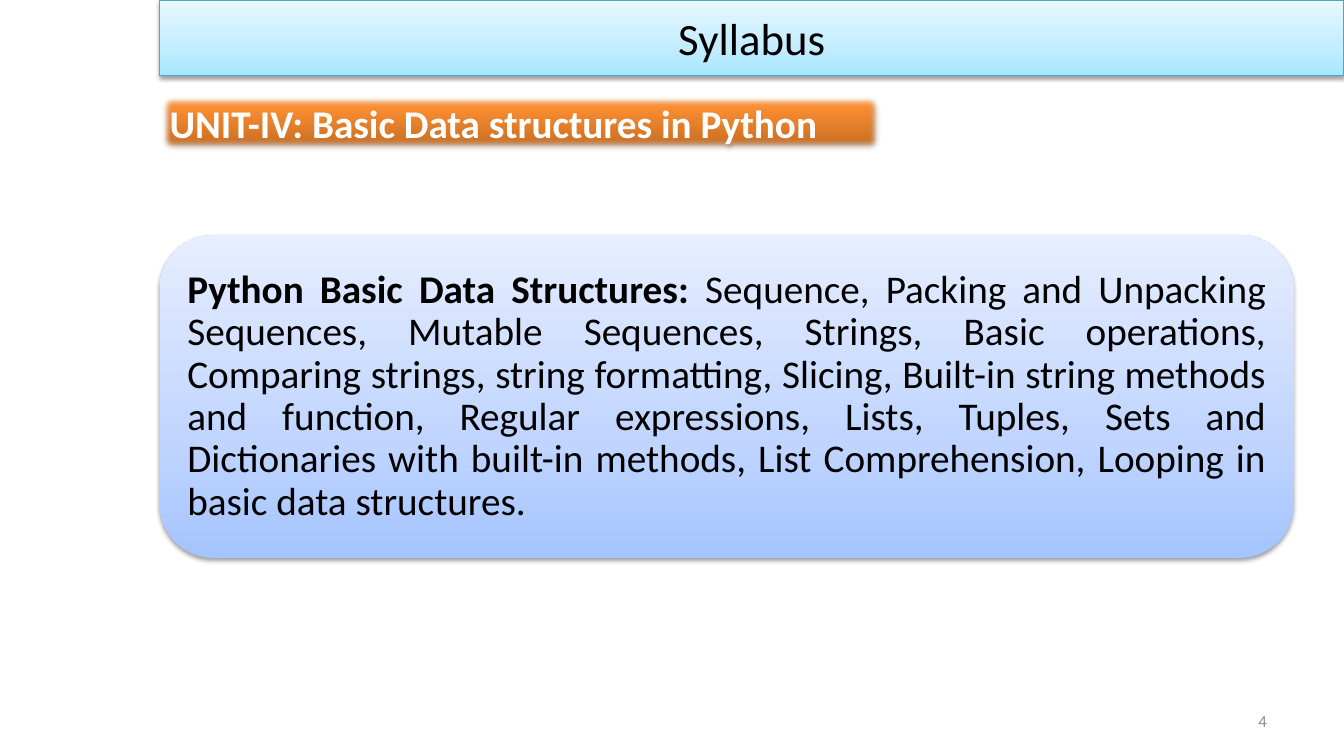
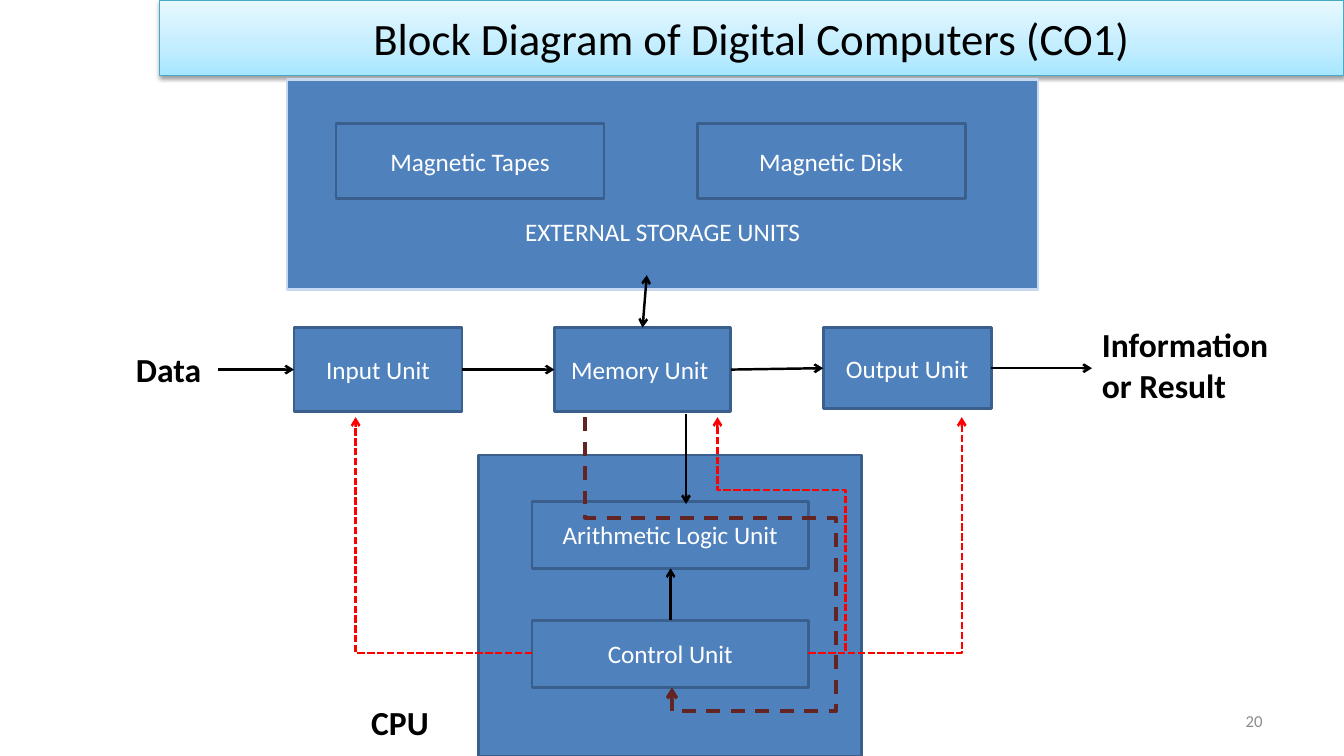
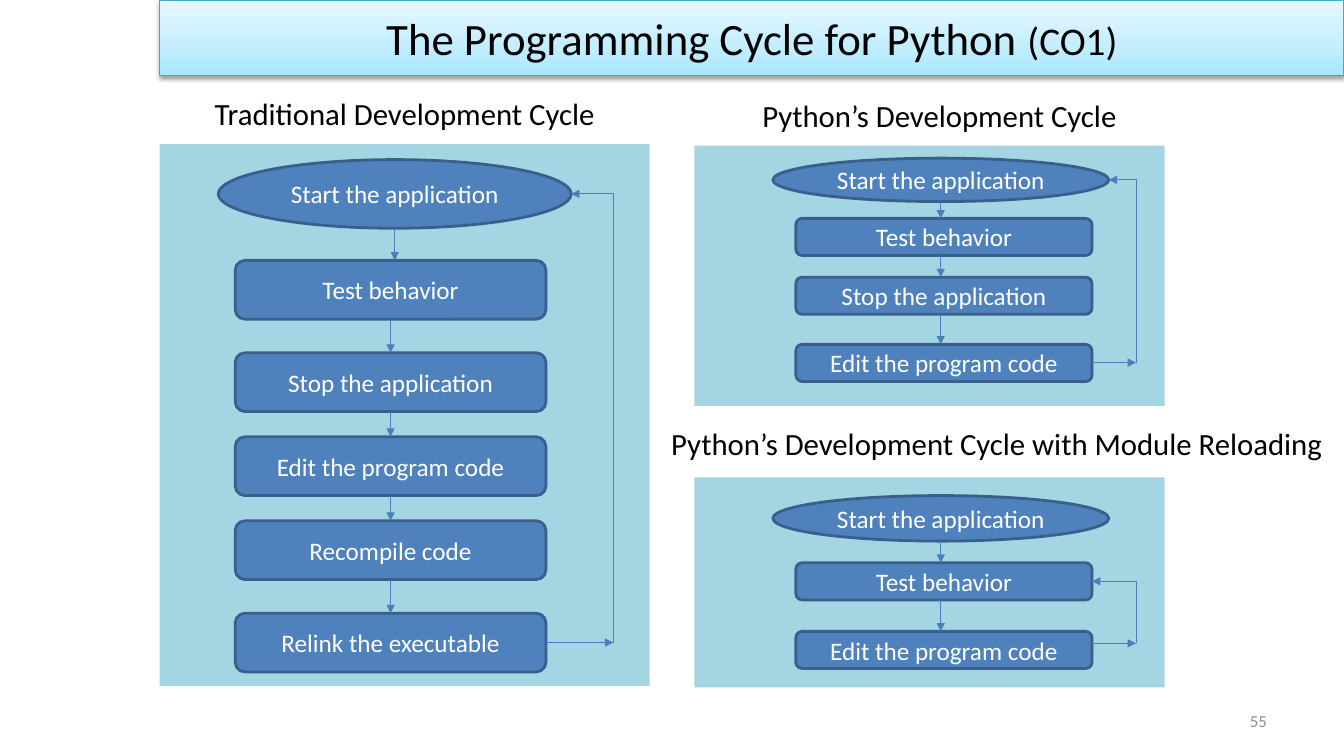
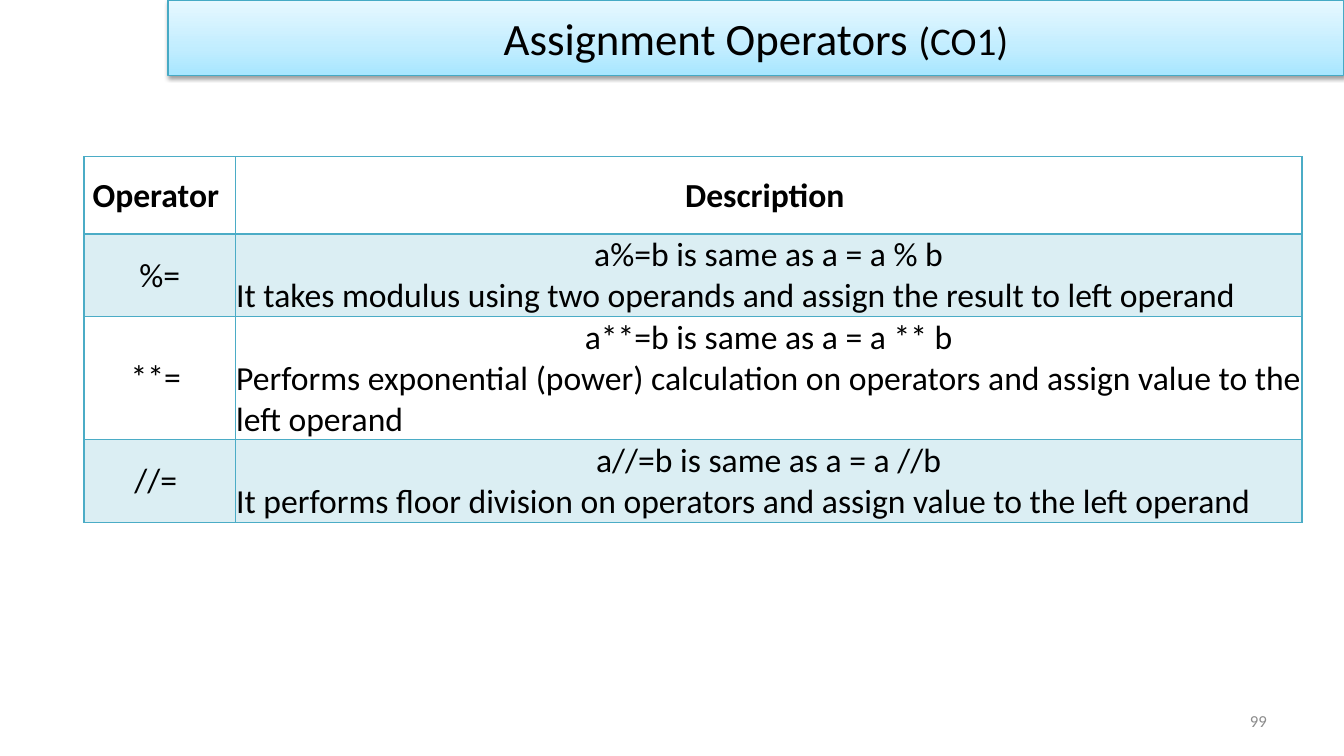
"""Build four slides of a Python programming course."""
from copy import deepcopy
from dataclasses import dataclass
from itertools import pairwise
from typing import Any, NamedTuple

from lxml.etree import SubElement as Sub
from pptx import Presentation
from pptx.dml.color import RGBColor
from pptx.enum.dml import MSO_LINE as Dash
from pptx.enum.shapes import MSO_CONNECTOR as Link, MSO_SHAPE as Kind
from pptx.enum.text import MSO_ANCHOR as Anchor, PP_ALIGN as Align
from pptx.oxml.ns import qn
from pptx.util import Pt

FONT = "Calibri"
BLACK, WHITE, GREY = "000000", "FFFFFF", "8C8C8C"
BLUE, NAVY, PALE, SKY = "4F81BD", "3A5F8C", "C6D9F1", "4B7EBC"
TEAL, RED, BROWN = "4BACC6", "FF0000", "632523"
AQUA = ((0, "A7E6FF"), (35, "C1EDFF"), (100, "E7F8FF"))
ORANGE = ((0, "C2691F"), (80, "FF9034"), (100, "FF9136"))
LILAC = ((0, "A4C4FF"), (35, "BFD4FF"), (100, "E6EEFF"))


class Run(NamedTuple):
    text: str
    size: float = 18
    color: str = BLACK
    bold: bool = False


class Box(NamedTuple):
    left: float
    top: float
    width: float
    height: float

    @property
    def right(self) -> float:
        return self.left + self.width

    @property
    def base(self) -> float:
        return self.top + self.height

    @property
    def mid(self) -> float:
        return self.top + self.height / 2


class Spot(NamedTuple):
    x: float
    y: float


class Pen(NamedTuple):
    color: str
    width: float
    tail: str = "arrow"
    head: str = ""
    dash: Any = None


@dataclass
class Block:
    text: str
    box: Box


@dataclass
class Wire:
    spots: list[Spot]
    pen: Pen


@dataclass
class Cycle:
    title: str
    label: Box
    panel: Box
    oval: Box
    step: Box
    tops: list[float]
    names: list[str]
    axis: float
    lane: float
    leave: float
    back: int


INK = Pen(BLACK, 1.75)
BOTH = Pen(BLACK, 1.75, head="arrow")
SIGNAL = Pen(RED, 1.75, dash=Dash.SQUARE_DOT)
DATA = Pen(BROWN, 2.5, dash=Dash.DASH)
FLOW = Pen(SKY, 0.75, tail="triangle")

START, TEST, STOP, EDIT = (
    "Start the application", "Test behavior", "Stop the application", "Edit the program code")

CYCLES = [
    Cycle("Traditional Development Cycle", Box(114, 64, 350, 34),
          Box(114, 103, 350, 387), Box(156, 114, 252, 49),
          Box(168, 0, 222, 42), [186, 252, 312, 372, 438],
          [TEST, STOP, EDIT, "Recompile code", "Relink the executable"],
          279, 438, 459, 0),
    Cycle("Python’s Development Cycle", Box(496, 65.5, 350, 34),
          Box(496, 104, 336, 186), Box(552, 113, 240, 31),
          Box(568.5, 0, 211.5, 26.5), [156, 198, 246],
          [TEST, STOP, EDIT], 672, 811.5, 259, 0),
    Cycle("Python’s Development Cycle with Module Reloading",
          Box(464, 300, 496, 34),
          Box(496, 341, 336, 150), Box(552, 354, 240, 32.5),
          Box(568.5, 0, 211.5, 26.5), [402, 451],
          [TEST, EDIT], 672, 811.5, 459.5, 1),
]

UNITS = [
    Block("Magnetic Tapes", Box(240, 88, 191.5, 54)),
    Block("Magnetic Disk", Box(498, 88, 191.5, 54)),
    Block("", Box(342, 325, 273.5, 215)),
    Block("Arithmetic Logic Unit", Box(380, 358, 197.5, 48)),
    Block("Control Unit", Box(380, 443, 197.5, 48)),
    Block("Input Unit", Box(210, 234, 120, 60)),
    Block("Memory Unit ", Box(396, 234, 126, 60)),
    Block("Output Unit", Box(588, 234, 120, 58)),
]

WIRES = [
    Wire([Spot(479, 443), Spot(479, 406)], INK),
    Wire([Spot(156, 264), Spot(210, 264)], INK),
    Wire([Spot(330, 264), Spot(396, 264)], INK),
    Wire([Spot(522, 264), Spot(588, 263)], INK),
    Wire([Spot(708, 263), Spot(780, 263)], INK),
    Wire([Spot(459, 234), Spot(462, 196.5)], BOTH),
    Wire([Spot(490, 296), Spot(490, 360)], INK),
    Wire([Spot(380, 466.5), Spot(254, 466.5), Spot(254, 298)], SIGNAL),
    Wire([Spot(577.5, 466.5), Spot(687, 466.5), Spot(687, 298)], SIGNAL),
    Wire([Spot(577.5, 466.5), Spot(604, 466.5), Spot(604, 350),
          Spot(512.5, 350), Spot(512.5, 298)], SIGNAL),
    Wire([Spot(418, 298), Spot(418, 370), Spot(597, 370),
          Spot(597, 508), Spot(480, 508), Spot(480, 491)], DATA),
]

TAGS = [
    Block("Data", Box(90, 246, 76, 36)),
    Block("Information or Result", Box(780, 228, 150, 66)),
    Block("CPU", Box(258, 498, 76, 36)),
]

ROWS = [
    ("Operator ", ["Description "]),
    ("%=", ["a%=b is same as a = a % b",
            "It takes modulus using two operands and assign the result to left operand"]),
    ("**= ", ["a**=b is same as a = a ** b",
              "Performs exponential (power) calculation on operators "
              "and assign value to the left operand"]),
    ("//= ", ["a//=b is same as a = a //b",
              "It performs floor division on operators and assign value to the left operand"]),
]


def hue(code: str) -> RGBColor:
    return RGBColor.from_string(code)


def place(box: Box) -> list[int]:
    return [Pt(side) for side in box]


def write(para: Any, runs: list[Run], align: Any = Align.LEFT) -> None:
    para.alignment = align
    for item in runs:
        run = para.add_run()
        run.text = item.text
        font = run.font
        font.name, font.size, font.bold = FONT, Pt(item.size), item.bold
        font.color.rgb = hue(item.color)


def tint(fill: Any, root: Any, code: str, alpha: int) -> None:
    fill.solid()
    fill.fore_color.rgb = hue(code)
    color = root.find(f"{qn('a:solidFill')}/{qn('a:srgbClr')}")
    Sub(color, qn("a:alpha"), val=str(alpha * 1000))


def blend(shape: Any, stops: tuple) -> None:
    fill = shape.fill
    fill.gradient()
    fill.gradient_angle = 90
    group = next(shape._element.spPr.iter(qn("a:gsLst")))
    group.append(deepcopy(group[0]))
    for stop, (pos, code) in zip(fill.gradient_stops, stops):
        stop.position = pos / 100
        stop.color.rgb = hue(code)


def shade(shape: Any, alpha: int, soft: float = 0) -> None:
    group = shape._element.spPr.find(qn("a:effectLst"))
    cast = Sub(group, qn("a:outerShdw"), blurRad=str(Pt(3.1)), dist=str(Pt(1.6)),
               dir="5400000", rotWithShape="0")
    color = Sub(cast, qn("a:srgbClr"), val=BLACK)
    Sub(color, qn("a:alpha"), val=str(alpha * 1000))
    if soft:
        Sub(group, qn("a:softEdge"), rad=str(Pt(soft)))


def form(slide: Any, kind: Any, box: Box, runs: list[Run],
         align: Any = Align.CENTER) -> Any:
    shape = slide.shapes.add_shape(kind, *place(box))
    shape.shadow.inherit = False
    shape.line.fill.background()
    frame = shape.text_frame
    frame.word_wrap = True
    frame.vertical_anchor = Anchor.MIDDLE
    if runs:
        write(frame.paragraphs[0], runs, align)
    return shape


def edge(shape: Any, code: str, width: float) -> None:
    shape.line.color.rgb = hue(code)
    shape.line.width = Pt(width)


def node(slide: Any, kind: Any, block: Block, rim: str = NAVY) -> Any:
    runs = [Run(block.text, color=WHITE)] if block.text else []
    shape = form(slide, kind, block.box, runs)
    shape.fill.solid()
    shape.fill.fore_color.rgb = hue(BLUE)
    edge(shape, rim, 2)
    return shape


def note(slide: Any, box: Box, run: Run, align: Any = Align.LEFT,
         anchor: Any = Anchor.TOP) -> None:
    frame = slide.shapes.add_textbox(*place(box)).text_frame
    frame.word_wrap = True
    frame.vertical_anchor = anchor
    write(frame.paragraphs[0], [run], align)


def draw(slide: Any, wire: Wire) -> None:
    spots = [(Pt(spot.x), Pt(spot.y)) for spot in wire.spots]
    if len(spots) == 2:
        line = slide.shapes.add_connector(Link.STRAIGHT, *spots[0], *spots[1])
    else:
        pencil = slide.shapes.build_freeform(*spots[0])
        pencil.add_line_segments(spots[1:], close=False)
        line = pencil.convert_to_shape()
        line.fill.background()
    pen = wire.pen
    edge(line, pen.color, pen.width)
    if pen.dash:
        line.line.dash_style = pen.dash
    props = line._element.spPr
    stroke = props.find(qn("a:ln"))
    for end, mark in (("a:headEnd", pen.head), ("a:tailEnd", pen.tail)):
        if mark:
            Sub(stroke, qn(end), type=mark)
    Sub(props, qn("a:effectLst"))


def begin(deck: Any, title: list[Run], number: int, left: float = 114,
          right: float = 912) -> Any:
    slide = deck.slides.add_slide(deck.slide_layouts[6])
    note(slide, Box(right - 224, 500, 224, 29), Run(str(number), 12, GREY),
         Align.RIGHT, Anchor.MIDDLE)
    band = form(slide, Kind.RECTANGLE, Box(left, 0, 960 - left, 54), title)
    blend(band, AQUA)
    edge(band, "46AAC5", 0.75)
    shade(band, 38)
    return slide


def outline(deck: Any) -> None:
    slide = begin(deck, [Run("Syllabus", 32)], 4)
    unit = form(slide, Kind.RECTANGLE, Box(114, 67, 516, 41),
                [Run("UNIT-IV: Basic Data structures in Python", 28, WHITE, True)],
                Align.JUSTIFY)
    blend(unit, ORANGE)
    shade(unit, 35, 5)
    card = form(slide, Kind.ROUNDED_RECTANGLE, Box(114, 168, 810, 230.5), [
        Run("Python Basic Data Structures: ", 28, bold=True),
        Run("Sequence, Packing and Unpacking Sequences, Mutable Sequences, Strings, "
            "Basic operations, Comparing strings, string formatting, Slicing, "
            "Built-in string methods and function, Regular expressions, Lists, "
            "Tuples, Sets and Dictionaries with built-in methods, List "
            "Comprehension, Looping in basic data structures.", 28),
    ], Align.JUSTIFY)
    blend(card, LILAC)
    shade(card, 38)
    frame = card.text_frame
    frame.margin_left = frame.margin_right = Pt(8.6)
    frame.paragraphs[0].line_spacing = 0.9


def diagram(deck: Any) -> None:
    slide = begin(deck, [Run("Block Diagram of Digital Computers (CO1)", 32)], 20,
                  right=909)
    store = node(slide, Kind.RECTANGLE,
                 Block("EXTERNAL STORAGE UNITS", Box(205, 57, 536.5, 150)), PALE)
    store.text_frame.margin_top = Pt(70)
    for unit in UNITS:
        node(slide, Kind.RECTANGLE, unit)
    for wire in WIRES:
        draw(slide, wire)
    for tag in TAGS:
        note(slide, tag.box, Run(tag.text, 24, bold=True))


def loop(slide: Any, cycle: Cycle) -> None:
    panel = form(slide, Kind.RECTANGLE, cycle.panel, [])
    tint(panel.fill, panel._element.spPr, TEAL, 50)
    note(slide, cycle.label, Run(cycle.title, 22), Align.CENTER)
    steps = [cycle.oval] + [cycle.step._replace(top=top) for top in cycle.tops]
    for spot, (box, name) in enumerate(zip(steps, [START, *cycle.names])):
        kind = Kind.ROUNDED_RECTANGLE if spot else Kind.OVAL
        node(slide, kind, Block(name, box))
    for spot, (above, below) in enumerate(pairwise(steps)):
        x = cycle.axis if spot else cycle.oval.left + cycle.oval.width / 2
        draw(slide, Wire([Spot(x, above.base), Spot(x, below.top)], FLOW))
    turn, goal = Spot(cycle.lane, cycle.leave), steps[cycle.back]
    draw(slide, Wire([Spot(steps[-1].right, cycle.leave), turn], FLOW))
    draw(slide, Wire([turn, Spot(cycle.lane, goal.mid), Spot(goal.right, goal.mid)], FLOW))


def cycles(deck: Any) -> None:
    slide = begin(deck, [Run("The Programming Cycle for Python ", 32), Run("(CO1)", 28)], 55)
    for cycle in CYCLES:
        loop(slide, cycle)


def fence(cell: Any, row: int) -> None:
    props = cell._tc.get_or_add_tcPr()
    widths = {"L": 1, "R": 1, "T": 2 if row == 1 else 1, "B": 1 if row else 2}
    for side, width in widths.items():
        line = Sub(props, qn(f"a:ln{side}"), w=str(Pt(width)))
        Sub(Sub(line, qn("a:solidFill")), qn("a:srgbClr"), val=TEAL)


def fill_in(cell: Any, lines: list[str], row: int) -> None:
    cell.margin_left = cell.margin_right = cell.margin_top = Pt(0.72)
    cell.margin_bottom = Pt(0)
    cell.vertical_anchor = Anchor.MIDDLE
    fence(cell, row)
    if row % 2:
        tint(cell.fill, cell._tc.tcPr, TEAL, 20)
    else:
        cell.fill.background()
    frame = cell.text_frame
    for spot, line in enumerate(lines):
        para = frame.add_paragraph() if spot else frame.paragraphs[0]
        write(para, [Run(line, 24, bold=not row)], Align.LEFT if spot else Align.CENTER)


def table(deck: Any) -> None:
    slide = begin(deck, [Run("Assignment Operators ", 32), Run("(CO1)", 28)], 99, left=120)
    grid = slide.shapes.add_table(4, 2, *place(Box(60, 112, 870, 261))).table
    grid.first_row = grid.horz_banding = False
    for column, width in zip(grid.columns, (108, 762)):
        column.width = Pt(width)
    for row, height in zip(grid.rows, (55, 59, 88, 59)):
        row.height = Pt(height)
    for row, (sign, lines) in enumerate(ROWS):
        fill_in(grid.cell(row, 0), [sign], row)
        fill_in(grid.cell(row, 1), lines, row)


def main() -> None:
    deck = Presentation()
    deck.slide_width, deck.slide_height = Pt(960), Pt(540)
    for build in (outline, diagram, cycles, table):
        build(deck)
    deck.save("out.pptx")


if __name__ == "__main__":
    main()
